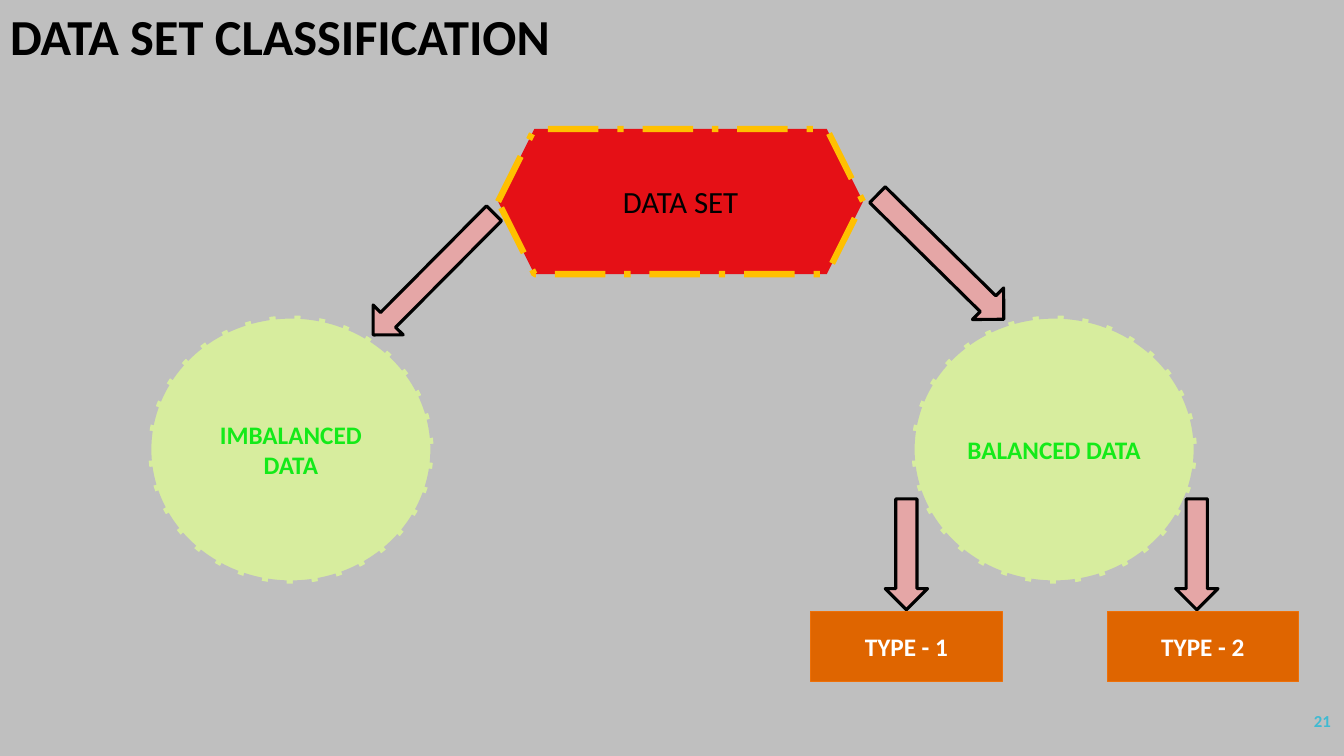
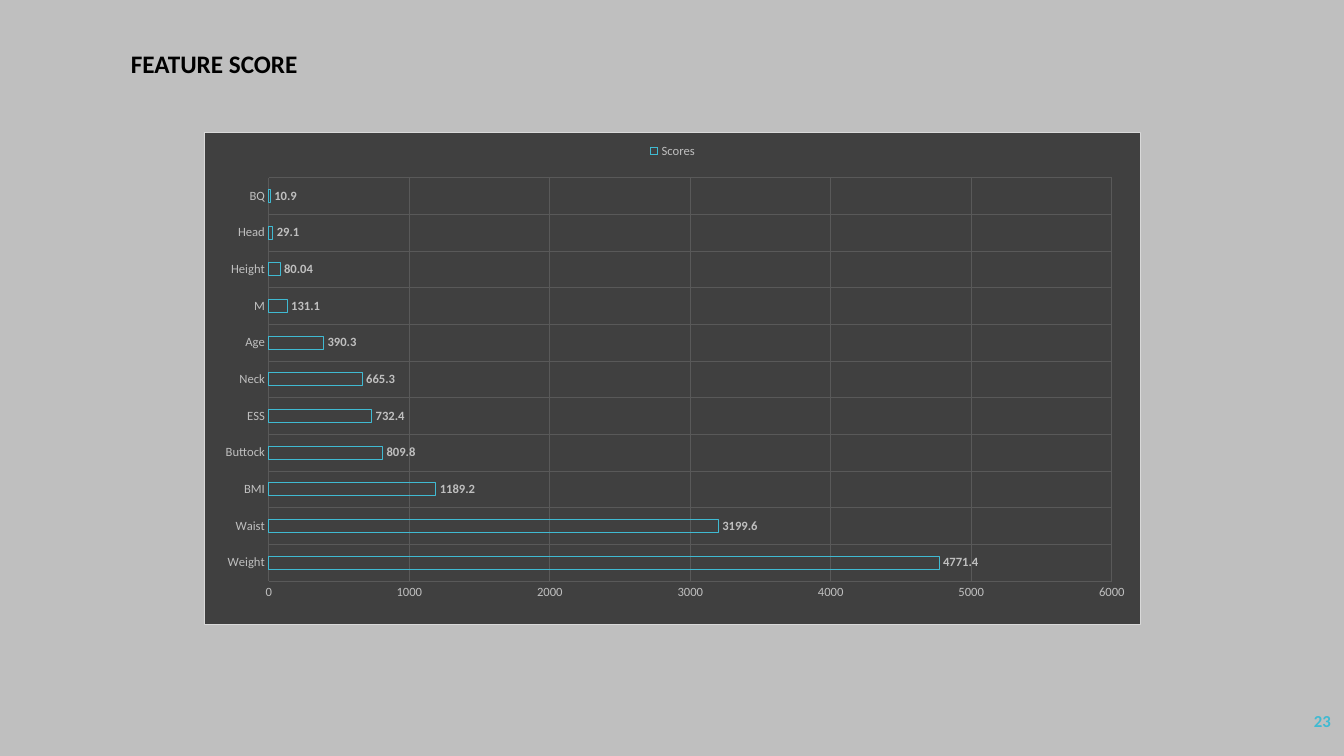
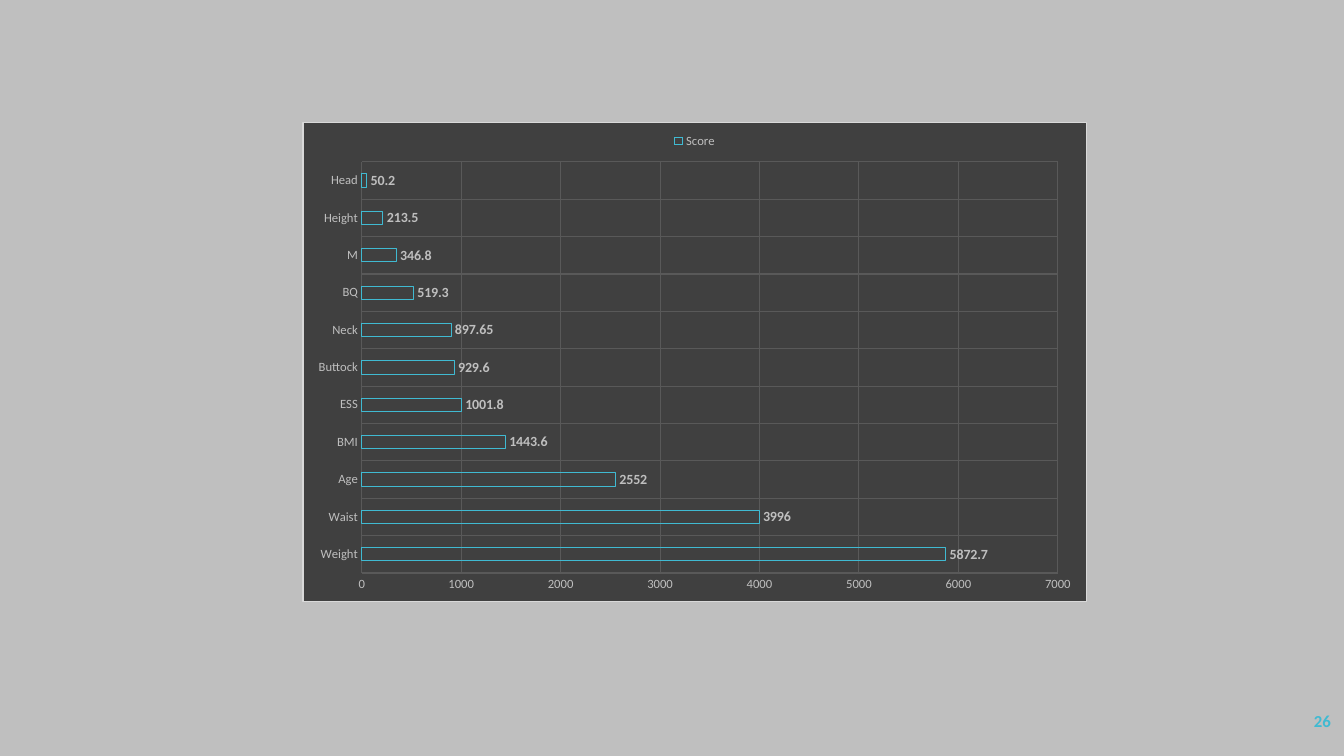
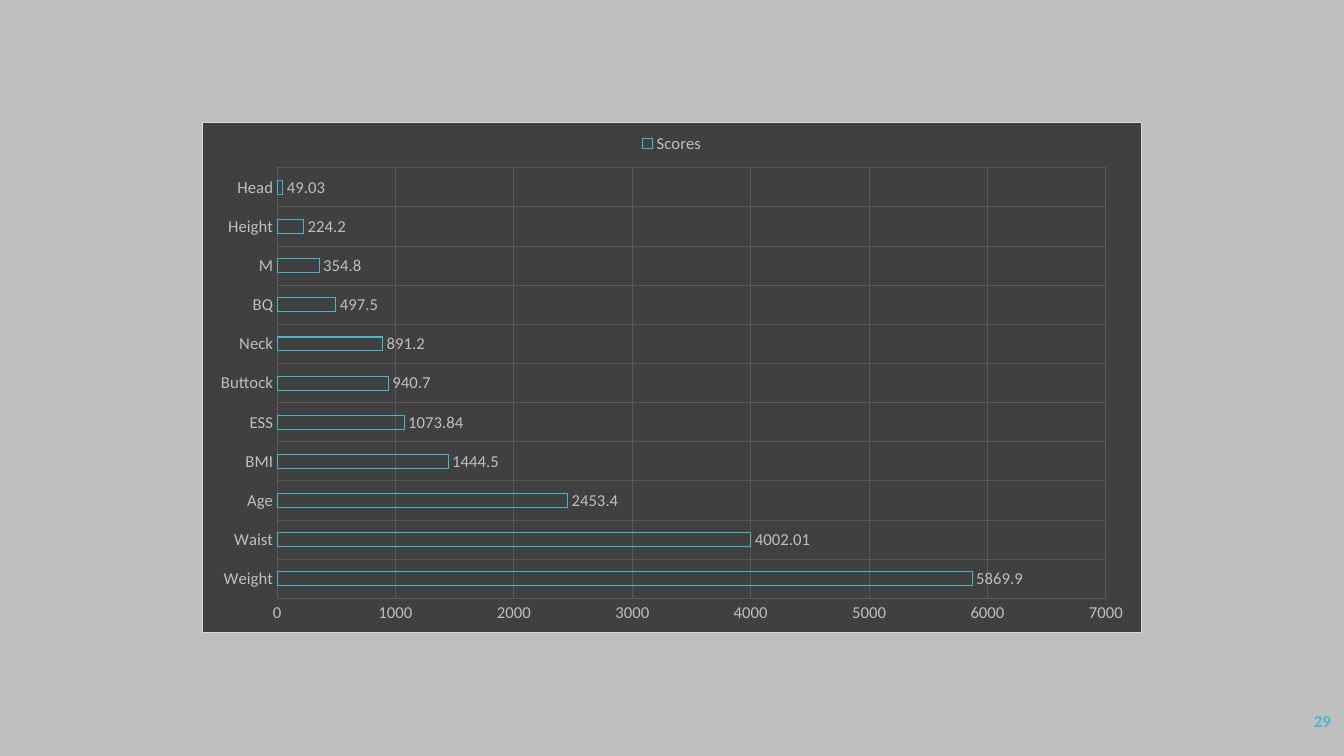
import pptx
import pptx.chart.data
import pptx.dml.color
import pptx.enum.chart
import pptx.enum.dml
import pptx.enum.shapes
import pptx.enum.text
import pptx.oxml
import pptx.oxml.ns
import pptx.util

Inches = pptx.util.Inches
Pt = pptx.util.Pt
SHAPE = pptx.enum.shapes.MSO_SHAPE
DASH = pptx.enum.dml.MSO_LINE
ALIGN = pptx.enum.text.PP_ALIGN
ANCHOR = pptx.enum.text.MSO_ANCHOR
qn = pptx.oxml.ns.qn

FONT = "Calibri"
BLACK, WHITE = "000000", "FFFFFF"
GREY, CHARCOAL, GRID, BORDER = "BFBFBF", "404040", "595959", "D9D9D9"
CYAN = "40BAD2"


def rgb(value):
    return pptx.dml.color.RGBColor.from_string(value)


def write(frame, text, size=18, color=BLACK, bold=False,
          align=ALIGN.CENTER, anchor=ANCHOR.MIDDLE):
    frame.word_wrap = True
    frame.auto_size = pptx.enum.text.MSO_AUTO_SIZE.NONE
    frame.vertical_anchor = anchor
    paragraph = frame.paragraphs[0]
    paragraph.alignment = align
    run = paragraph.add_run()
    run.text = text
    run.font.name = FONT
    run.font.size = Pt(size)
    run.font.bold = bold
    run.font.color.rgb = rgb(color)


prs = pptx.Presentation()
prs.slide_width, prs.slide_height = Inches(13.33), Inches(7.5)

# Shared grey background
background = prs.slide_master.background.fill
background.solid()
background.fore_color.rgb = rgb(GREY)

# Slides with their titles and page numbers
TITLE_ONLY, BLANK = prs.slide_layouts[5], prs.slide_layouts[6]
pages = [
    (21, "DATA SET CLASSIFICATION", (0, 0, 6.67, 0.71), 36, ALIGN.LEFT),
    (23, "FEATURE SCORE", (0.39, 0.43, 3.47, 0.4), 18, ALIGN.CENTER),
    (26, None, None, None, None),
    (29, None, None, None, None),
]
for number, heading, place, size, align in pages:
    slide = prs.slides.add_slide(TITLE_ONLY if heading else BLANK)
    if heading:
        title = slide.shapes.title
        title.left, title.top, title.width, title.height = map(Inches, place)
        write(title.text_frame, heading, size=size, bold=True,
              align=align, anchor=ANCHOR.TOP)
    page_number = slide.shapes.add_textbox(
        Inches(11.63), Inches(6.95), Inches(1.67), Inches(0.4))
    write(page_number.text_frame, str(number), size=12, color=CYAN,
          bold=True, align=ALIGN.RIGHT)

# Classification tree: look = preset, fill, line colour, line width, dash
ROOT = (SHAPE.HEXAGON, "E51016", "FFC000", 4.5, DASH.LONG_DASH_DOT)
BRANCH = (SHAPE.OVAL, "D7ED9E", GREY, 4.5, DASH.SQUARE_DOT)
LEAF = (SHAPE.RECTANGLE, "DF6500", "EE7008", 0.75, None)
ARROW = (SHAPE.DOWN_ARROW, "E5A6A6", BLACK, 2.25, None)
root_text = dict(size=22)
branch_text = dict(color="14EA19", bold=True)
leaf_text = dict(color=WHITE, bold=True)
tree = [
    (ROOT, (4.94, 1.28, 3.62, 1.44), 0, "DATA SET", root_text),
    (ARROW, (4.09, 1.87, 0.42, 1.7), 44.8, None, None),
    (BRANCH, (1.47, 3.13, 2.83, 2.66), 0, "IMBALANCED DATA", branch_text),
    (BRANCH, (9.04, 3.13, 2.83, 2.66), 0, "BALANCED DATA", branch_text),
    (ARROW, (9.11, 1.67, 0.44, 1.76), 314.6, None, None),
    (LEAF, (8.04, 6.07, 1.9, 0.69), 0, "TYPE - 1", leaf_text),
    (LEAF, (10.98, 6.07, 1.9, 0.69), 0, "TYPE - 2", leaf_text),
    (ARROW, (8.78, 4.95, 0.42, 1.1), 0, None, None),
    (ARROW, (11.66, 4.95, 0.42, 1.1), 0, None, None),
]
for look, place, rotation, label, label_format in tree:
    preset, fill, line, width, dash = look
    node = prs.slides[0].shapes.add_shape(preset, *map(Inches, place))
    node.rotation = rotation
    node.shadow.inherit = False
    node.fill.solid()
    node.fill.fore_color.rgb = rgb(fill)
    node.line.color.rgb = rgb(line)
    node.line.width = Pt(width)
    if dash:
        node.line.dash_style = dash
    if label:
        write(node.text_frame, label, **label_format)

# Feature scores, listed from the bottom bar up
score_charts = [
    dict(page=1, place=(2.02, 1.31, 9.3, 4.89), name="Scores", top=6000,
         size=9, label_size=9, bold=True, plot=(0.069, 0.092, 0.9, 0.82),
         scores={"Weight": 4771.4, "Waist": 3199.6, "BMI": 1189.2,
                 "Buttock": 809.8, "ESS": 732.4, "Neck": 665.3, "Age": 390.3,
                 "M": 131.1, "Height": 80.04, "Head": 29.1, "BQ": 10.9}),
    dict(page=2, place=(3, 1.21, 7.78, 4.76), name="Score", top=7000,
         size=9, label_size=10, bold=True, plot=None,
         scores={"Weight": 5872.7, "Waist": 3996, "Age": 2552, "BMI": 1443.6,
                 "ESS": 1001.8, "Buttock": 929.6, "Neck": 897.65,
                 "BQ": 519.3, "M": 346.8, "Height": 213.5, "Head": 50.2}),
    dict(page=3, place=(2, 1.21, 9.33, 5.07), name="Scores", top=7000,
         size=11.9, label_size=11.9, bold=False, plot=None,
         scores={"Weight": 5869.9, "Waist": 4002.01, "Age": 2453.4,
                 "BMI": 1444.5, "ESS": 1073.84, "Buttock": 940.7,
                 "Neck": 891.2, "BQ": 497.5, "M": 354.8, "Height": 224.2,
                 "Head": 49.03}),
]
for entry in score_charts:
    data = pptx.chart.data.CategoryChartData()
    data.categories = list(entry["scores"])
    data.add_series(entry["name"], list(entry["scores"].values()))
    chart = prs.slides[entry["page"]].shapes.add_chart(
        pptx.enum.chart.XL_CHART_TYPE.BAR_CLUSTERED,
        *map(Inches, entry["place"]), data).chart
    chart.has_title = False
    chart.has_legend = True
    chart.legend.position = pptx.enum.chart.XL_LEGEND_POSITION.TOP
    chart.legend.include_in_layout = False

    # Axes and grid
    for axis in (chart.category_axis, chart.value_axis):
        axis.major_tick_mark = pptx.enum.chart.XL_TICK_MARK.NONE
        axis.minor_tick_mark = pptx.enum.chart.XL_TICK_MARK.NONE
        axis.format.line.fill.background()
        axis.has_major_gridlines = True
        axis.major_gridlines.format.line.color.rgb = rgb(GRID)
        axis.major_gridlines.format.line.width = Pt(0.75)
    chart.value_axis.minimum_scale = 0
    chart.value_axis.maximum_scale = entry["top"]
    chart.value_axis.major_unit = 1000

    # Outlined bars with their values
    plot = chart.plots[0]
    plot.gap_width, plot.overlap = 182, -50
    plot.vary_by_categories = False
    bars = plot.series[0]
    bars.invert_if_negative = False
    bars.format.fill.background()
    bars.format.line.color.rgb = rgb(CYAN)
    bars.format.line.width = Pt(0.75)
    labels = bars.data_labels
    labels.show_value = True
    labels.position = pptx.enum.chart.XL_LABEL_POSITION.OUTSIDE_END

    # Chart text
    for font, size, bold in (
            (chart.font, 10, False),
            (chart.legend.font, entry["size"], False),
            (chart.category_axis.tick_labels.font, entry["size"], False),
            (chart.value_axis.tick_labels.font, entry["size"], False),
            (labels.font, entry["label_size"], entry["bold"])):
        font.name = FONT
        font.size = Pt(size)
        font.bold = bold
        font.color.rgb = rgb(GREY)

    # Dark chart area with a thin border
    chart_xml = chart.element.find(qn("c:chart"))
    chart_xml.addnext(pptx.oxml.parse_xml(
        f'<c:spPr {pptx.oxml.ns.nsdecls("c", "a")}>'
        f'<a:solidFill><a:srgbClr val="{CHARCOAL}"/></a:solidFill>'
        f'<a:ln w="{Pt(0.75)}"><a:solidFill><a:srgbClr val="{BORDER}"/>'
        '</a:solidFill></a:ln></c:spPr>'))

    # Fixed inner plot area
    if entry["plot"]:
        plot_area = chart_xml.find(qn("c:plotArea"))
        for layout in plot_area.findall(qn("c:layout")):
            plot_area.remove(layout)
        extent = "".join(f'<c:{key} val="{value}"/>'
                         for key, value in zip("xywh", entry["plot"]))
        plot_area.insert(0, pptx.oxml.parse_xml(
            f'<c:layout {pptx.oxml.ns.nsdecls("c")}><c:manualLayout>'
            '<c:layoutTarget val="inner"/><c:xMode val="edge"/>'
            f'<c:yMode val="edge"/>{extent}</c:manualLayout></c:layout>'))

prs.save("out.pptx")
